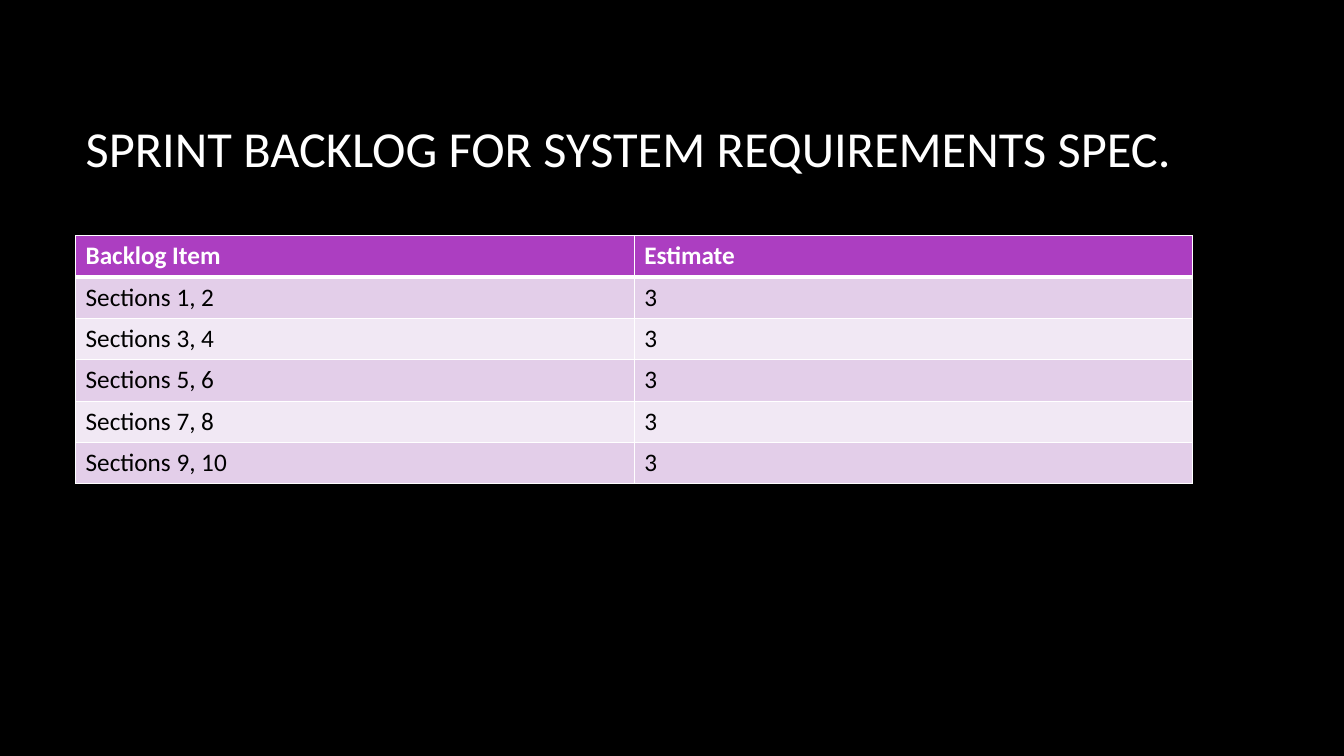
from dataclasses import dataclass

from lxml.etree import SubElement
from pptx import Presentation
from pptx.dml.color import RGBColor as Color
from pptx.enum.text import MSO_ANCHOR as Anchor, MSO_AUTO_SIZE as AutoSize, PP_ALIGN as Align
from pptx.oxml.ns import qn
from pptx.util import Inches, Pt


@dataclass(frozen=True)
class Theme:
    font: str = "Calibri"
    background: str = "000000"
    light: str = "FFFFFF"
    dark: str = "000000"
    header: str = "AC3EC1"
    bands: tuple = ("E3CEE9", "F1E8F4")
    title_size: int = 36
    table_size: int = 18
    border: int = 1
    header_border: int = 3


THEME = Theme()
TITLE = "SPRINT BACKLOG FOR SYSTEM REQUIREMENTS SPEC."
BACKLOG = [("Backlog Item", "Estimate")] + [
    (f"Sections {first}, {first + 1}", "3") for first in range(1, 10, 2)
]


def set_format(target, values):
    for name, value in values.items():
        setattr(target, name, value)


def write_text(frame, text, size, color, bold=False):
    para = frame.paragraphs[0]
    para.alignment = Align.LEFT
    span = para.add_run()
    span.text = text
    set_format(span.font, {"name": THEME.font, "size": Pt(size), "bold": bold})
    span.font.color.rgb = Color.from_string(color)


def set_background(page):
    fill = page.background.fill
    fill.solid()
    fill.fore_color.rgb = Color.from_string(THEME.background)


def add_title(page, text, left, top, width, height):
    box = page.shapes.title
    set_format(box, {"left": left, "top": top, "width": width, "height": height})
    set_format(box.text_frame, {
        "word_wrap": True,
        "auto_size": AutoSize.NONE,
        "vertical_anchor": Anchor.MIDDLE,
    })
    write_text(box.text_frame, text, THEME.title_size, THEME.light)


def set_borders(cell, widths):
    properties = cell._tc.get_or_add_tcPr()
    for position, (side, width) in enumerate(widths.items()):
        line = SubElement(properties, qn(f"a:ln{side}"), w=str(Pt(width)))
        fill = SubElement(line, qn("a:solidFill"))
        SubElement(fill, qn("a:srgbClr"), val=THEME.light)
        properties.insert(position, line)


def format_cell(cell, text, row):
    is_header = row == 0
    fill_color = THEME.header if is_header else THEME.bands[(row - 1) % 2]
    text_color = THEME.light if is_header else THEME.dark
    cell.fill.solid()
    cell.fill.fore_color.rgb = Color.from_string(fill_color)
    write_text(cell.text_frame, text, THEME.table_size, text_color, is_header)
    set_borders(cell, {
        "L": THEME.border,
        "R": THEME.border,
        "T": THEME.header_border if row == 1 else THEME.border,
        "B": THEME.header_border if is_header else THEME.border,
    })


def add_backlog_table(page, rows, left, top, width, row_height):
    frame = page.shapes.add_table(
        len(rows), len(rows[0]), left, top, width, row_height * len(rows)
    )
    for row, values in enumerate(rows):
        for column, text in enumerate(values):
            format_cell(frame.table.cell(row, column), text, row)


def main():
    deck = Presentation()
    set_format(deck, {"slide_width": Inches(13.33), "slide_height": Inches(7.5)})
    page = deck.slides.add_slide(deck.slide_layouts.get_by_name("Title Only"))
    set_background(page)
    add_title(page, TITLE, Inches(0.75), Inches(0.67), Inches(11.99), Inches(1.59))
    add_backlog_table(
        page, BACKLOG, Inches(0.75), Inches(2.34), Inches(11.08), Inches(0.41)
    )
    deck.save("out.pptx")


main()
